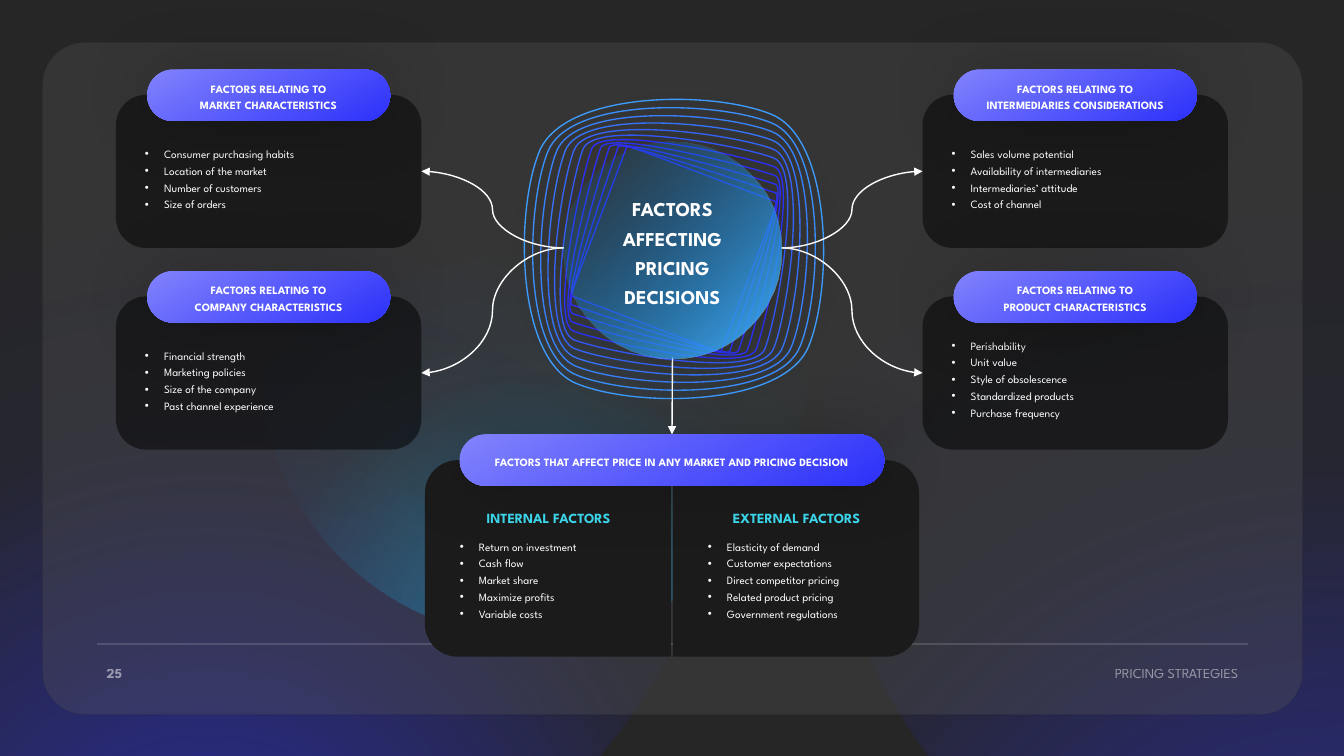
from lxml import etree
from pptx import Presentation
from pptx.dml.color import RGBColor
from pptx.enum.shapes import MSO_CONNECTOR as Link, MSO_SHAPE as Kind
from pptx.enum.text import MSO_ANCHOR as Anchor, PP_ALIGN as Align
from pptx.oxml.ns import qn
from pptx.util import Inches, Pt

FONT = "League Spartan"
WHITE = RGBColor(0xFF, 0xFF, 0xFF)
BLACK = RGBColor(0, 0, 0)
DARK = RGBColor(0x26, 0x26, 0x26)
GREY = RGBColor(0x59, 0x59, 0x59)
COAL = RGBColor(0x1B, 0x1B, 0x1B)
CYAN = RGBColor(0x3E, 0xDB, 0xF0)
BLUE = RGBColor(0x2D, 0x31, 0xFA)
LILAC = RGBColor(0x81, 0x83, 0xFC)
SKY = RGBColor(0x00, 0xB0, 0xF0)
AZURE = RGBColor(0x40, 0xAF, 0xFF)
NAVY = RGBColor(0x00, 0x70, 0xC0)
RINGS = [BLUE] * 5 + [RGBColor.from_string(c) for c in (
    "3359FC", "3565FC", "3774FD", "3981FD", "3B90FE", "3D9CFE")]

TITLE = "FACTORS AFFECTING PRICING DECISIONS"
LEAD = "FACTORS RELATING TO"
# left, top, heading, items
CARDS = [
    (9.15, 0.94, "INTERMEDIARIES CONSIDERATIONS",
     ["Sales volume potential", "Availability of intermediaries",
      "Intermediaries’ attitude", "Cost of channel"]),
    (1.15, 0.94, "MARKET CHARACTERISTICS",
     ["Consumer purchasing habits", "Location of the market",
      "Number of customers", "Size of orders"]),
    (1.15, 2.94, "COMPANY CHARACTERISTICS",
     ["Financial strength", "Marketing policies",
      "Size of the company", "Past channel experience"]),
    (9.15, 2.94, "PRODUCT CHARACTERISTICS",
     ["Perishability", "Unit value", "Style of obsolescence",
      "Standardized products", "Purchase frequency"]),
]
BASE = "FACTORS THAT AFFECT PRICE IN ANY MARKET AND PRICING DECISION"
# list left, turn of the half panel, heading, items
HALVES = [
    (4.36, 270, "INTERNAL FACTORS",
     ["Return on investment", "Cash flow", "Market share",
      "Maximize profits", "Variable costs"]),
    (6.82, 90, "EXTERNAL FACTORS",
     ["Elasticity of demand", "Customer expectations",
      "Direct competitor pricing", "Related product pricing",
      "Government regulations"]),
]
# left, top, size, turn, colour
GLOWS = [(-3.13, -1.08, 10.35, 0, BLUE), (2.58, 0.89, 5.43, 0, SKY),
         (8.16, -0.8, 10.34, 195, BLUE)]
CARD_W, CARD_H = 3.03, 1.52
HUB_X, HUB_Y, HUB_D = 5.59, 1.4, 2.16
MID_X, MID_Y = 6.685, 2.47

deck = Presentation()
deck.slide_width, deck.slide_height = Inches(13.33), Inches(7.5)
slide = deck.slides.add_slide(deck.slide_layouts[6])
slide.background.fill.solid()
slide.background.fill.fore_color.rgb = DARK
shapes = slide.shapes


def sub(node, tag, **attrs):
    return etree.SubElement(node, qn(tag), {k: str(v) for k, v in attrs.items()})


def fade(node, pct):
    """Set the opacity of every colour under node."""
    for tint in node.iter(qn("a:srgbClr")):
        sub(tint, "a:alpha", val=pct * 1000)


def add_box(kind, left, top, wide, high, fill=None, alpha=100, adj=None, turn=0):
    box = shapes.add_shape(kind, *map(Inches, (left, top, wide, high)))
    box.shadow.inherit = False
    box.line.fill.background()
    box.rotation = turn
    if adj is not None:
        box.adjustments[0] = adj
    if fill is not None:
        box.fill.solid()
        box.fill.fore_color.rgb = fill
        if alpha < 100:
            fade(box._element.spPr.find(qn("a:solidFill")), alpha)
    return box


def blend(box, stops, angle=None, focus=None):
    """Fill with stops of (place, colour, opacity), linear or around focus."""
    box.fill.gradient()
    grad = box._element.spPr.find(qn("a:gradFill"))
    for old in list(grad):
        grad.remove(old)
    row = sub(grad, "a:gsLst")
    for place, tint, alpha in stops:
        stop = sub(row, "a:gs", pos=place * 1000)
        sub(stop, "a:srgbClr", val=tint)
        fade(stop, alpha)
    if focus:
        ring = sub(grad, "a:path", path="circle")
        sub(ring, "a:fillToRect", **{k: v * 1000 for k, v in zip("ltrb", focus)})
    else:
        sub(grad, "a:lin", ang=angle * 60000, scaled=0)


def cast(box):
    """Add a wide soft shadow."""
    node = box._element.spPr.find(qn("a:effectLst"))
    shade = sub(node, "a:outerShdw", blurRad=Pt(50), dist=0, dir=0,
                algn="ctr", rotWithShape=0)
    sub(shade, "a:srgbClr", val=BLACK)
    fade(shade, 20)


def put_text(box, lines, size=8, color=WHITE, bold=False, align=Align.CENTER,
             anchor=Anchor.MIDDLE, inset=(0, 0.05, 0, 0.05), wrap=True,
             lead=None, bullet=False, alpha=100):
    frame = box.text_frame
    frame.word_wrap, frame.vertical_anchor = wrap, anchor
    (frame.margin_left, frame.margin_top,
     frame.margin_right, frame.margin_bottom) = map(Inches, inset)
    for i, line in enumerate(lines):
        para = frame.add_paragraph() if i else frame.paragraphs[0]
        if bullet:
            props = para._p.get_or_add_pPr()
            props.set("marL", str(Inches(0.19)))
            props.set("indent", str(-Inches(0.19)))
            sub(props, "a:buFont", typeface="Arial")
            sub(props, "a:buChar", char="•")
        para.alignment = align
        if lead:
            para.line_spacing = Pt(lead)
        run = para.add_run()
        run.text = line
        font = run.font
        font.name, font.size, font.bold = FONT, Pt(size), bold
        font.color.rgb = color
        if alpha < 100:
            fade(para._p, alpha)


def add_label(text, left, top, wide, **form):
    box = shapes.add_textbox(*map(Inches, (left, top, wide, 0.27)))
    put_text(box, [text], size=10, wrap=False, inset=(0.1, 0.05, 0.1, 0.05), **form)


def add_pill(left, top, wide, lines):
    pill = add_box(Kind.ROUNDED_RECTANGLE, left, top, wide, 0.51, adj=0.5)
    blend(pill, [(0, LILAC, 100), (100, BLUE, 100)], angle=60)
    cast(pill)
    put_text(pill, lines, bold=True, lead=12)
    return pill


def add_line(kind, x1, y1, x2, y2, width=1, arrow=True):
    line = shapes.add_connector(kind, *map(Inches, (x1, y1, x2, y2)))
    line.line.color.rgb, line.line.width = WHITE, Pt(width)
    props = line._element.spPr
    if arrow:
        sub(props.find(qn("a:ln")), "a:tailEnd", type="triangle")
    sub(props, "a:effectLst")
    return line


def add_ring(step, tint):
    """Draw one of the nested loops: four equal curves, each a quarter turn on."""
    start = (0.465 + 0.0877 * step, 1.025 - 0.0075 * step)
    pull = [(0.46 + 0.0656 * step, 1.03 + 0.0533 * step),
            (-1.025 + 0.068 * step, 0.46 + 0.112 * step)]
    quarter = pull + [(-start[1], start[0])]
    spots = [start]
    for _ in range(4):
        spots += quarter
        quarter = [(-y, x) for x, y in quarter]
    spots = [(Inches(MID_X + x), Inches(MID_Y + y)) for x, y in spots]
    form = shapes.build_freeform(*spots[0])
    form.add_line_segments(spots[1:], close=True)
    ring = form.convert_to_shape()
    ring.shadow.inherit = False
    ring.fill.background()
    ring.line.color.rgb, ring.line.width = tint, Pt(0.95)
    legs = list(ring._element.iter(qn("a:lnTo")))
    for i in range(0, 12, 3):
        curve = etree.Element(qn("a:cubicBezTo"))
        legs[i].addprevious(curve)
        for leg in legs[i:i + 3]:
            curve.append(leg[0])
            leg.getparent().remove(leg)


for left, top, size, turn, tint in GLOWS:
    glow = add_box(Kind.OVAL, left, top, size, size, turn=turn)
    blend(glow, [(23, tint, 40), (68, tint, 5), (100, tint, 0)],
          focus=(50, 130, 50, -30))
panel = add_box(Kind.ROUNDED_RECTANGLE, 0.42, 0.42, 12.5, 6.67, GREY, 30, 0.064)
panel.line.color.rgb, panel.line.width = DARK, Pt(1)
fade(panel._element.spPr.find(qn("a:ln")), 10)
rule = add_line(Link.STRAIGHT, 0.96, 6.39, 12.38, 6.39, 0.5, arrow=False)
fade(rule._element.spPr, 40)

for left, turn, head, items in HALVES:
    add_box(Kind.ROUND_2_SAME_RECTANGLE, left + 0.1, 4.32, 1.95, 2.44, COAL, turn=turn)
    notes = shapes.add_textbox(*map(Inches, (left, 5.06, 2.15, 1.26)))
    put_text(notes, items, align=Align.LEFT, inset=(0.2, 0.1, 0.2, 0),
             lead=12, bullet=True)
    add_label(head, left + 0.34, 5.01, 1.48, color=CYAN, bold=True, anchor=Anchor.TOP)
add_label("25", 0.96, 6.54, 0.35, bold=True, align=Align.LEFT, alpha=50)
add_label("PRICING STRATEGIES", 10.81, 6.54, 1.57, align=Align.RIGHT, alpha=50)

for step, tint in enumerate(RINGS):
    add_ring(step, tint)

for left, top, head, items in CARDS:
    card = add_box(Kind.ROUNDED_RECTANGLE, left, top, CARD_W, CARD_H, BLACK, 50, 0.198)
    put_text(card, items, align=Align.LEFT, anchor=Anchor.TOP, lead=12, bullet=True,
             inset=(0.2, 0.3 if len(items) > 4 else 0.4, 0.2, 0.05))
    add_pill(left + 0.31, top - 0.25, 2.41, [LEAD, head])
base = add_pill(4.56, 4.31, 4.21, [BASE])

for left, top, _, _ in CARDS:
    from_x, to_x = ((HUB_X, left + CARD_W) if left < HUB_X
                    else (HUB_X + HUB_D, left))
    add_line(Link.CURVE, from_x, 2.46, to_x, top + CARD_H / 2)
down = add_line(Link.STRAIGHT, 6.67, 3.54, 6.67, 4.31)
down.end_connect(base, 0)

hub = add_box(Kind.OVAL, HUB_X, HUB_Y, HUB_D, HUB_D)
blend(hub, [(0, AZURE, 100), (100, NAVY, 0)], focus=(100, 100, 0, 0))
cast(hub)
put_text(hub, [TITLE], size=14, bold=True, lead=20.8)

deck.save("out.pptx")
